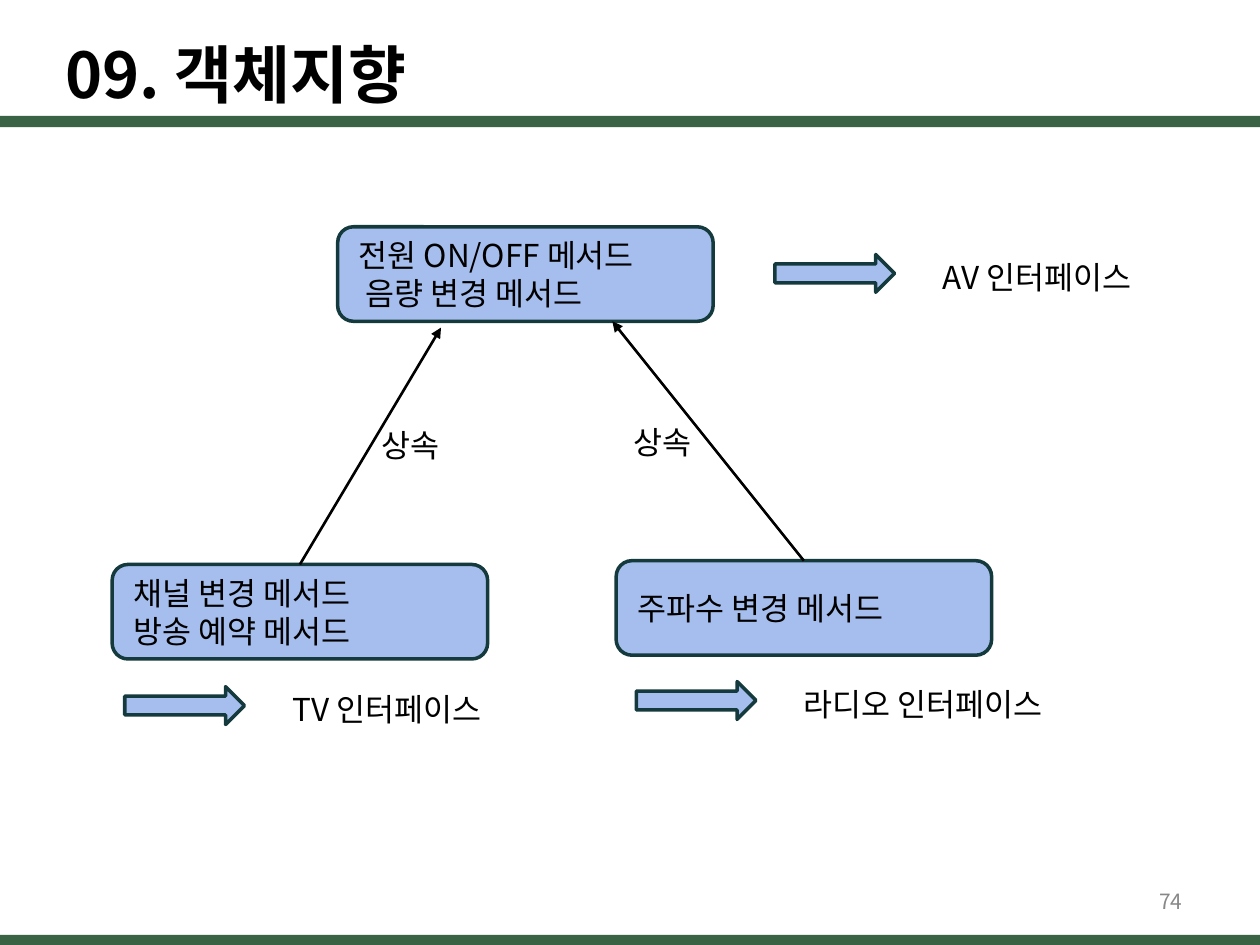
from lxml import etree
from pptx import Presentation
from pptx.dml.color import RGBColor
from pptx.enum.shapes import MSO_CONNECTOR, MSO_SHAPE
from pptx.enum.text import MSO_ANCHOR, MSO_AUTO_SIZE, PP_ALIGN
from pptx.oxml.ns import qn
from pptx.util import Inches, Pt

FONT = "Noto Sans CJK KR"
COLORS = {
    "text": "000000",
    "bar": "3A6245",
    "box": "A6BEED",
    "outline": "153A3D",
    "number": "888888",
}
BAR = MSO_SHAPE.RECTANGLE
BOX = MSO_SHAPE.ROUNDED_RECTANGLE
ARROW = MSO_SHAPE.RIGHT_ARROW
STRAIGHT = MSO_CONNECTOR.STRAIGHT
TOP, MIDDLE = MSO_ANCHOR.TOP, MSO_ANCHOR.MIDDLE
NO_AUTOFIT = MSO_AUTO_SIZE.NONE
LEFT = PP_ALIGN.LEFT
TOP_SIDE = 0
LINE_RATIO = 1.2


def rgb(name):
    return RGBColor.from_string(COLORS[name])


def write_text(shape, lines, size=18, color="text", bold=False,
               inset=0, anchor=TOP):
    frame = shape.text_frame
    frame.auto_size = NO_AUTOFIT
    frame.word_wrap = True
    frame.vertical_anchor = anchor
    frame.margin_left = Inches(inset)
    frame.margin_right = frame.margin_bottom = 0
    frame.margin_top = Inches(0.02) if anchor == TOP else 0
    frame.text = "\n".join(lines)
    for paragraph in frame.paragraphs:
        paragraph.alignment = LEFT
        paragraph.line_spacing = Pt(size * LINE_RATIO)
        run = paragraph.runs[0]
        run.font.name = FONT
        run.font.size = Pt(size)
        run.font.bold = bold
        run.font.color.rgb = rgb(color)
        east_asian = etree.SubElement(run.font._element, qn("a:ea"))
        east_asian.set("typeface", FONT)


def add_label(slide, text, left, top, width, height=0.33, **text_format):
    label = slide.shapes.add_textbox(
        Inches(left), Inches(top), Inches(width), Inches(height))
    write_text(label, [text], **text_format)


def add_filled(slide, preset, left, top, width, height, fill, outline=None):
    shape = slide.shapes.add_shape(
        preset, Inches(left), Inches(top), Inches(width), Inches(height))
    shape.shadow.inherit = False
    shape.fill.solid()
    shape.fill.fore_color.rgb = rgb(fill)
    if outline:
        shape.line.color.rgb = rgb(outline)
        shape.line.width = Pt(2)
    else:
        shape.line.fill.background()
    return shape


def add_method_box(slide, lines, left, top):
    box = add_filled(slide, BOX, left, top, 2.98, 0.75, "box", "outline")
    write_text(box, lines, inset=0.13, anchor=MIDDLE)
    return box


def add_interface(slide, name, left, top):
    """Block arrow followed by the name of the interface it points to."""
    add_filled(slide, ARROW, left, top, 0.95, 0.3, "box", "outline")
    add_label(slide, name, left + 1.33, top + 0.01, 2.12)


def add_inheritance(slide, child, tip_x, tip_y):
    """Arrow from the top of a child box up to the parent box."""
    link = slide.shapes.add_connector(
        STRAIGHT, 0, 0, Inches(tip_x), Inches(tip_y))
    link.begin_connect(child, TOP_SIDE)
    link.line.color.rgb = rgb("text")
    link.line.width = Pt(1.5)
    line = link.line._get_or_add_ln()
    etree.SubElement(line, qn("a:tailEnd"), type="triangle")
    etree.SubElement(link._element.spPr, qn("a:effectLst"))


def add_title(slide, text):
    title = slide.shapes.title
    title.left, title.top = Inches(0.52), Inches(0.26)
    title.width, title.height = Inches(5), Inches(0.63)
    write_text(title, [text], size=36, bold=True)


def main():
    presentation = Presentation()
    presentation.slide_width = Inches(10)
    presentation.slide_height = Inches(7.5)
    title_only = presentation.slide_layouts[5]
    slide = presentation.slides.add_slide(title_only)

    add_title(slide, "09. 객체지향")
    for top, height in ((0.92, 0.09), (7.42, 0.08)):
        add_filled(slide, BAR, 0, top, 10, height, "bar")

    add_method_box(
        slide, ["전원 ON/OFF 메서드", " 음량 변경 메서드"], 2.68, 1.8)
    tv = add_method_box(
        slide, ["채널 변경 메서드", "방송 예약 메서드"], 0.89, 4.48)
    radio = add_method_box(slide, ["주파수 변경 메서드"], 4.89, 4.45)

    add_inheritance(slide, tv, 3.5, 2.6)
    add_inheritance(slide, radio, 4.86, 2.55)
    for left, top in ((3.03, 3.36), (5.03, 3.34)):
        add_label(slide, "상속", left, top, 0.53)

    for name, left, top in (
        ("AV 인터페이스", 6.15, 2.02),
        ("TV 인터페이스", 0.99, 5.45),
        ("라디오 인터페이스", 5.05, 5.41),
    ):
        add_interface(slide, name, left, top)

    add_label(slide, "74", 9.2, 7.03, 0.24, 0.25, size=12, color="number")
    presentation.save("out.pptx")


if __name__ == "__main__":
    main()
